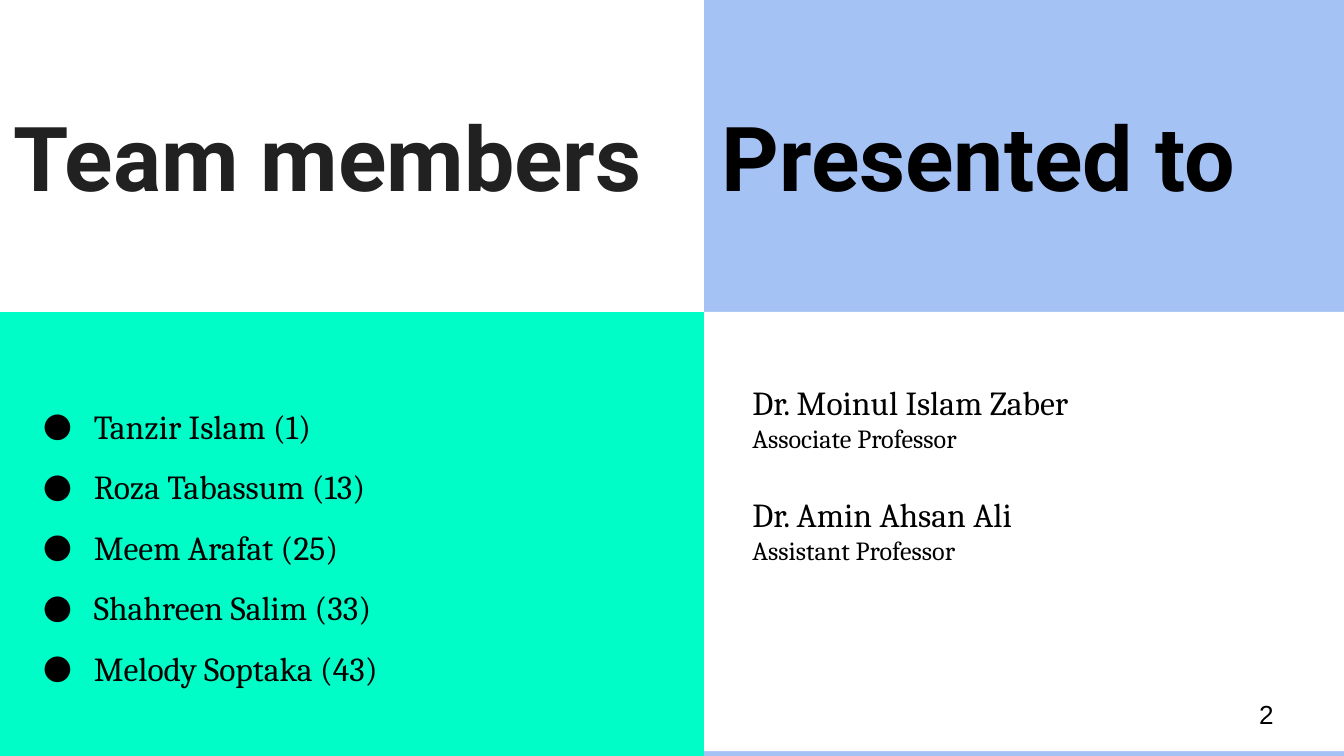
from lxml import etree
from pptx import Presentation
from pptx.dml.color import RGBColor
from pptx.enum.shapes import MSO_SHAPE
from pptx.enum.text import MSO_ANCHOR, PP_ALIGN
from pptx.oxml.ns import qn
from pptx.util import Inches, Pt

RECTANGLE = MSO_SHAPE.RECTANGLE
TOP, MIDDLE = MSO_ANCHOR.TOP, MSO_ANCHOR.MIDDLE
LEFT = PP_ALIGN.LEFT

GREEN = RGBColor(0x00, 0xFD, 0xC8)
BLUE = RGBColor(0xA4, 0xC2, 0xF4)
WHITE = RGBColor(0xFF, 0xFF, 0xFF)
CHARCOAL = RGBColor(0x21, 0x21, 0x21)
BLACK = RGBColor(0x00, 0x00, 0x00)

SLIDE_WIDTH = 10
SLIDE_HEIGHT = SLIDE_WIDTH * 9 / 16
SPLIT_X, SPLIT_Y = 5.24, 2.32
RIGHT_WIDTH = SLIDE_WIDTH - SPLIT_X

MEMBERS = [
    "Tanzir Islam (1)",
    "Roza Tabassum (13)",
    "Meem Arafat (25)",
    "Shahreen Salim (33)",
    "Melody Soptaka (43)",
]
TEACHERS = [
    ("Dr. Moinul Islam Zaber", "Associate Professor"),
    ("Dr. Amin Ahsan Ali", "Assistant Professor"),
]


def add_panel(slide, left, top, width, height, color):
    panel = slide.shapes.add_shape(
        RECTANGLE, Inches(left), Inches(top), Inches(width), Inches(height))
    panel.shadow.inherit = False
    panel.fill.solid()
    panel.fill.fore_color.rgb = color
    panel.line.fill.background()
    return panel


def set_frame(frame, anchor=TOP, top_inset=0.1):
    frame.word_wrap = True
    frame.vertical_anchor = anchor
    frame.margin_left = frame.margin_right = frame.margin_bottom = Inches(0.1)
    frame.margin_top = Inches(top_inset)
    return frame


def add_text_frame(slide, left, top, width, height, **layout):
    box = slide.shapes.add_textbox(
        Inches(left), Inches(top), Inches(width), Inches(height))
    return set_frame(box.text_frame, **layout)


def add_line(frame, text, size, font="Cambria", color=BLACK, bold=False):
    first = frame.paragraphs[0]
    paragraph = frame.add_paragraph() if first.runs else first
    paragraph.alignment = LEFT
    run = paragraph.add_run()
    run.text = text
    run.font.name = font
    run.font.size = Pt(size)
    run.font.bold = bold
    run.font.color.rgb = color
    return paragraph


def add_heading(frame, text, color):
    add_line(frame, text, 48, "Roboto", color, bold=True)


def add_bullet(paragraph):
    properties = paragraph._p.get_or_add_pPr()
    properties.set("marL", str(Inches(0.5)))
    properties.set("indent", str(Inches(-0.38)))
    etree.SubElement(properties, qn("a:buFont")).set("typeface", "Cambria")
    etree.SubElement(properties, qn("a:buChar")).set("char", "●")


def add_members(slide):
    frame = add_text_frame(slide, 0.1, 2.77, 5.14, 3.18)
    for member in MEMBERS:
        paragraph = add_line(frame, member, 18)
        add_bullet(paragraph)
        paragraph.line_spacing = 1.5


def add_teachers(slide):
    frame = add_text_frame(slide, 5.5, 2.44, 4.69, 3.27, top_inset=0.4)
    for position, (name, post) in enumerate(TEACHERS):
        paragraph = add_line(frame, name, 18)
        if position:
            paragraph.space_before = Pt(21.6)
        add_line(frame, post, 14)


def main():
    presentation = Presentation()
    presentation.slide_width = Inches(SLIDE_WIDTH)
    presentation.slide_height = Inches(SLIDE_HEIGHT)
    slide = presentation.slides.add_slide(presentation.slide_layouts[6])
    slide.background.fill.solid()
    slide.background.fill.fore_color.rgb = GREEN

    title = add_panel(slide, 0, 0, SLIDE_WIDTH, SPLIT_Y, WHITE)
    add_heading(set_frame(title.text_frame, MIDDLE), "Team members", CHARCOAL)

    add_panel(slide, SPLIT_X, 0, RIGHT_WIDTH, SLIDE_HEIGHT, BLUE)
    audience = add_text_frame(slide, 5.27, -0.09, 4.69, 2.32, top_inset=1)
    add_heading(audience, "Presented to", BLACK)

    add_members(slide)
    add_panel(slide, SPLIT_X, SPLIT_Y, RIGHT_WIDTH, 3.27, WHITE)
    add_teachers(slide)

    page_number = add_text_frame(slide, 9.27, 5.1, 0.6, 0.43, anchor=MIDDLE)
    add_line(page_number, "2", 14, "Arial")

    presentation.save("out.pptx")


if __name__ == "__main__":
    main()
